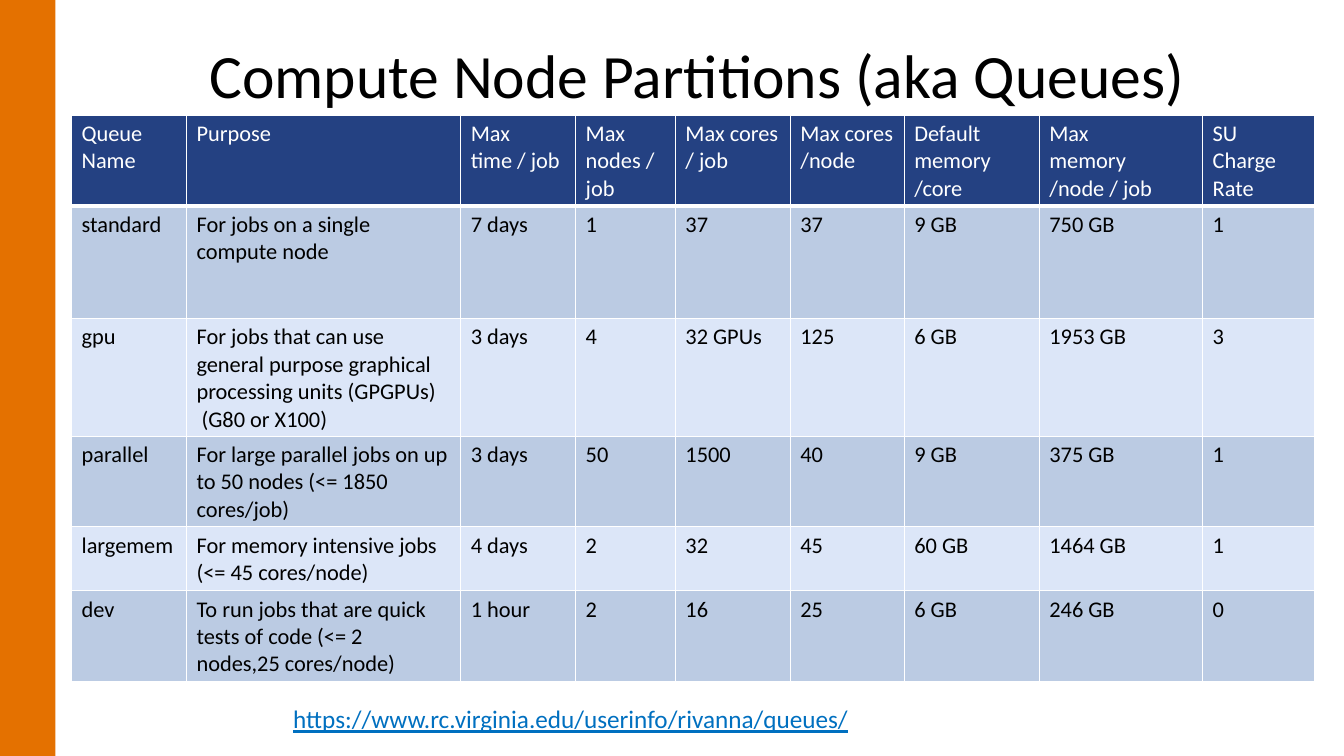
from dataclasses import dataclass

from lxml import etree
from pptx import Presentation
from pptx import util as u
from pptx.dml.color import RGBColor
from pptx.enum import shapes, text
from pptx.oxml.ns import qn


@dataclass(frozen=True)
class Theme:
    font: str = "Calibri"
    title_size: int = 44
    table_size: int = 16
    link_size: int = 18
    ink: str = "000000"
    white: str = "FFFFFF"
    accent: str = "E47100"
    header: str = "244182"
    bands: tuple = ("BBCBE3", "DCE6F8")
    link: str = "0070C0"


COLUMN_WIDTHS = [1.14, 2.72, 1.14, 0.99, 1.14, 1.13, 1.34, 1.62, 1.11]
ROW_HEIGHTS = [0.86, 1.12, 1.12, 0.86, 0.61, 0.61]
QUEUES = [
    ["Queue Name", "Purpose", "Max time / job", "Max nodes / job", "Max cores / job",
     "Max cores /node", "Default memory /core", "Max memory /node / job", "SU Charge Rate"],
    ["standard", "For jobs on a single compute node",
     "7 days", "1", "37", "37", "9 GB", "750 GB", "1"],
    ["gpu", "For jobs that can use general purpose graphical processing units (GPGPUs)\n (G80 or X100)",
     "3 days", "4", "32 GPUs", "125", "6 GB", "1953 GB", "3"],
    ["parallel", "For large parallel jobs on up to 50 nodes (<= 1850 cores/job)",
     "3 days", "50", "1500", "40", "9 GB", "375 GB", "1"],
    ["largemem", "For memory intensive jobs (<= 45 cores/node)",
     "4 days", "2", "32", "45", "60 GB", "1464 GB", "1"],
    ["dev", "To run jobs that are quick tests of code (<= 2 nodes,25 cores/node)",
     "1 hour", "2", "16", "25", "6 GB", "246 GB", "0"],
]


class SlideBuilder:
    def __init__(self, page, theme):
        self.page = page
        self.theme = theme

    def set_text(self, frame, words, size, color, underline=None, spacing=None):
        frame.text = words
        for para in frame.paragraphs:
            para.line_spacing = spacing
            for span in para.runs:
                span.font.name = self.theme.font
                span.font.size = u.Pt(size)
                span.font.color.rgb = RGBColor.from_string(color)
                span.font.underline = underline

    def bar(self, left, top, width, height, color):
        bar = self.page.shapes.add_shape(
            shapes.MSO_SHAPE.RECTANGLE, *map(u.Inches, (left, top, width, height)))
        bar.shadow.inherit = False
        bar.fill.solid()
        bar.fill.fore_color.rgb = RGBColor.from_string(color)
        bar.line.fill.background()

    def label(self, left, top, width, height, words, size, color, **style):
        box = self.page.shapes.add_textbox(*map(u.Inches, (left, top, width, height)))
        frame = box.text_frame
        frame.word_wrap = True
        frame.vertical_anchor = text.MSO_ANCHOR.TOP
        self.set_text(frame, words, size, color, **style)

    def border(self, cell, bottom):
        """Draw the four cell edges, 1 pt wide except for the bottom one."""
        properties = cell._tc.get_or_add_tcPr()
        for side, points in (("L", 1), ("R", 1), ("T", 1), ("B", bottom)):
            edge = etree.SubElement(properties, qn(f"a:ln{side}"), w=str(u.Pt(points)))
            fill = etree.SubElement(edge, qn("a:solidFill"))
            etree.SubElement(fill, qn("a:srgbClr"), val=self.theme.white)

    def table(self, left, top, widths, heights, rows):
        theme = self.theme
        table = self.page.shapes.add_table(
            len(rows), len(widths),
            *map(u.Inches, (left, top, sum(widths), sum(heights)))).table
        table.first_row = table.horz_banding = False
        for column, width in zip(table.columns, widths):
            column.width = u.Inches(width)
        for index, (row, height, values) in enumerate(zip(table.rows, heights, rows)):
            row.height = u.Inches(height)
            is_header = index == 0
            fill = theme.header if is_header else theme.bands[(index - 1) % 2]
            for cell, value in zip(row.cells, values):
                self.border(cell, bottom=3 if is_header else 1)
                cell.fill.solid()
                cell.fill.fore_color.rgb = RGBColor.from_string(fill)
                self.set_text(cell.text_frame, value, theme.table_size,
                              theme.white if is_header else theme.ink)


def main():
    deck = Presentation()
    deck.slide_width, deck.slide_height = u.Inches(13.33), u.Inches(7.5)
    theme = Theme()
    slide = SlideBuilder(deck.slides.add_slide(deck.slide_layouts[6]), theme)
    slide.bar(0, 0, 0.55, 7.5, theme.accent)
    slide.label(1.98, 0.4, 10.5, 1.45, "Compute Node Partitions (aka Queues)",
                theme.title_size, theme.ink, spacing=0.9)
    slide.table(0.71, 1.14, COLUMN_WIDTHS, ROW_HEIGHTS, QUEUES)
    slide.label(2.81, 6.93, 6.67, 0.4, "https://www.rc.virginia.edu/userinfo/rivanna/queues/",
                theme.link_size, theme.link, underline=True)
    deck.save("out.pptx")


if __name__ == "__main__":
    main()
